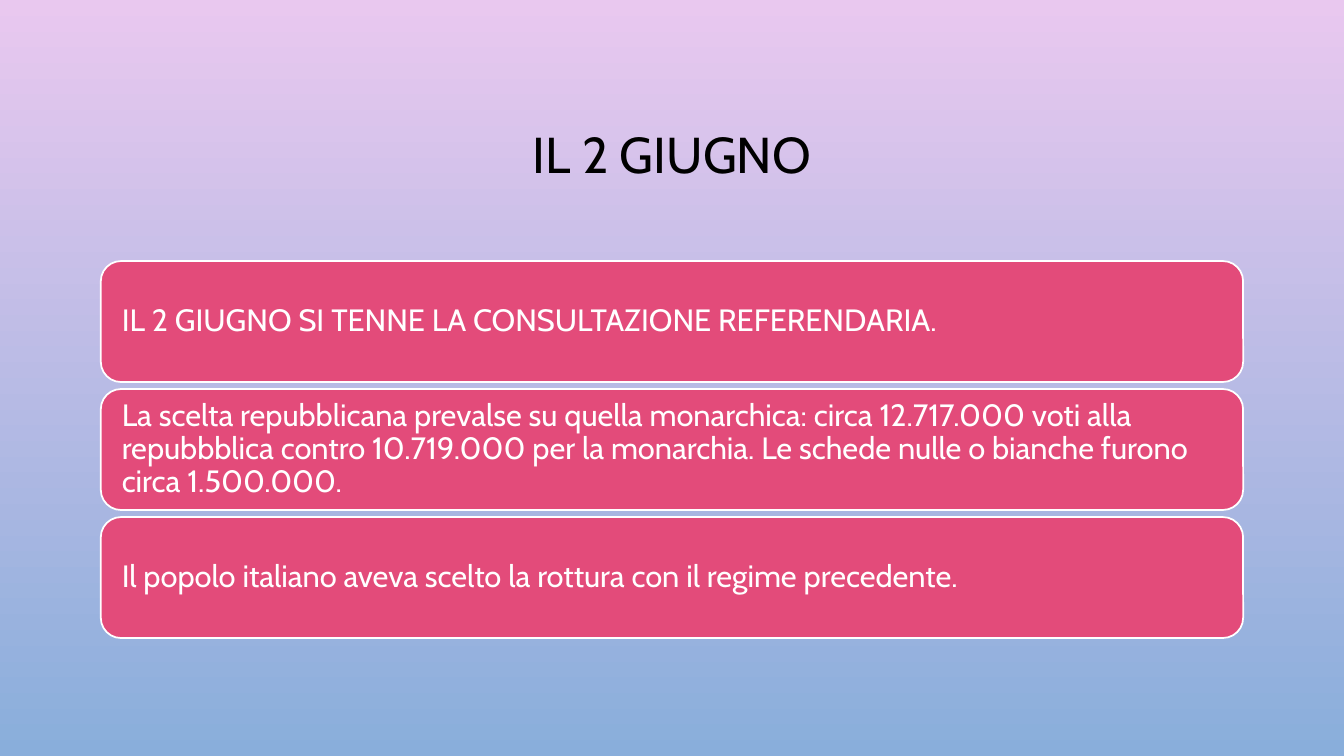
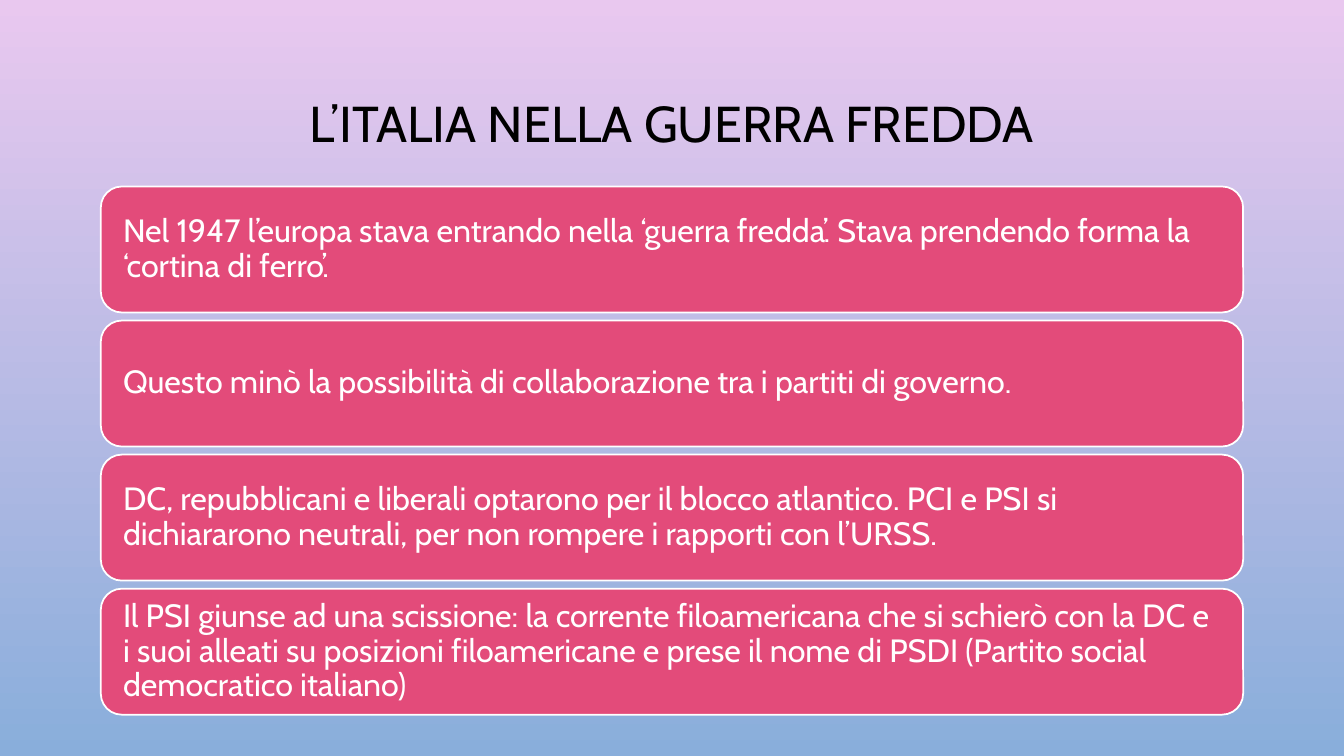
from dataclasses import dataclass

from pptx import Presentation
from pptx.dml.color import RGBColor
from pptx.enum.shapes import MSO_SHAPE
from pptx.enum.text import MSO_ANCHOR, PP_ALIGN
from pptx.util import Inches, Pt


@dataclass(frozen=True)
class Theme:
    font: str = "Cabin"
    sky_top: str = "E9C8EF"
    sky_bottom: str = "89AEDB"
    title_color: str = "000000"
    card_fill: str = "E34B7A"
    card_ink: str = "FFFFFF"
    title_size: int = 36
    line_spacing: float = 0.9
    outline_width: float = 1.25
    left: float = 1
    width: float = 11.33
    title_top: float = 0.68


class Deck:
    """Holds the style and the current slide."""

    def __init__(self, theme):
        self.theme = theme
        self.presentation = Presentation()
        self.presentation.slide_width = Inches(13.33)
        self.presentation.slide_height = Inches(7.5)
        self.slide = None

    def new_slide(self):
        self.slide = self.presentation.slides.add_slide(self.presentation.slide_layouts[6])
        sky = self.slide.background.fill
        sky.gradient()
        sky.gradient_angle = 270  # top to bottom
        for stop, color in zip(sky.gradient_stops, (self.theme.sky_top, self.theme.sky_bottom)):
            stop.color.rgb = RGBColor.from_string(color)

    def set_text(self, shape, text, size, color, align):
        frame = shape.text_frame
        frame.word_wrap = True
        frame.vertical_anchor = MSO_ANCHOR.MIDDLE
        frame.text = text
        paragraph = frame.paragraphs[0]
        paragraph.alignment = align
        paragraph.line_spacing = self.theme.line_spacing
        for run in paragraph.runs:
            run.font.name = self.theme.font
            run.font.size = Pt(size)
            run.font.color.rgb = RGBColor.from_string(color)

    def title(self, text, height):
        theme = self.theme
        heading = self.slide.shapes.add_textbox(
            Inches(theme.left), Inches(theme.title_top), Inches(theme.width), Inches(height))
        self.set_text(heading, text, theme.title_size, theme.title_color, PP_ALIGN.CENTER)

    def card(self, text, top, height, inset, size):
        theme = self.theme
        card = self.slide.shapes.add_shape(
            MSO_SHAPE.ROUNDED_RECTANGLE,
            Inches(theme.left), Inches(top), Inches(theme.width), Inches(height))
        card.shadow.inherit = False
        card.fill.solid()
        card.fill.fore_color.rgb = RGBColor.from_string(theme.card_fill)
        card.line.color.rgb = RGBColor.from_string(theme.card_ink)
        card.line.width = Pt(theme.outline_width)
        frame = card.text_frame
        frame.margin_left = frame.margin_right = Inches(inset)
        frame.margin_top = frame.margin_bottom = Inches(inset)
        self.set_text(card, text, size, theme.card_ink, PP_ALIGN.LEFT)

    def card_stack(self, texts, top, height, gap, inset, size):
        for index, text in enumerate(texts):
            self.card(text, top + index * (height + gap), height, inset, size)


def main():
    deck = Deck(Theme())

    # The referendum
    deck.new_slide()
    deck.title("IL 2 GIUGNO", height=1.75)
    deck.card_stack([
        "IL 2 GIUGNO SI TENNE LA CONSULTAZIONE REFERENDARIA.",
        "La scelta repubblicana prevalse su quella monarchica: circa 12.717.000 voti alla "
        "repubbblica contro 10.719.000 per la monarchia. Le schede nulle o bianche furono "
        "circa 1.500.000.",
        "Il popolo italiano aveva scelto la rottura con il regime precedente.",
    ], top=2.59, height=1.2, gap=0.07, inset=0.15, size=22)

    # Italy in the Cold War
    deck.new_slide()
    deck.title("L’ITALIA NELLA GUERRA FREDDA", height=1.15)
    deck.card_stack([
        "Nel 1947 l’europa stava entrando nella ‘guerra fredda’. Stava prendendo forma la "
        "‘cortina di ferro’.",
        "Questo minò la possibilità di collaborazione tra i partiti di governo.",
        "DC, repubblicani e liberali optarono per il blocco atlantico. PCI e PSI si "
        "dichiararono neutrali, per non rompere i rapporti con l’URSS.",
        "Il PSI giunse ad una scissione: la corrente filoamericana che si schierò con la DC e i "
        "suoi alleati su posizioni filoamericane e prese il nome di PSDI (Partito social "
        "democratico italiano)",
    ], top=1.85, height=1.25, gap=0.08, inset=0.16, size=23)

    deck.presentation.save("out.pptx")


if __name__ == "__main__":
    main()
